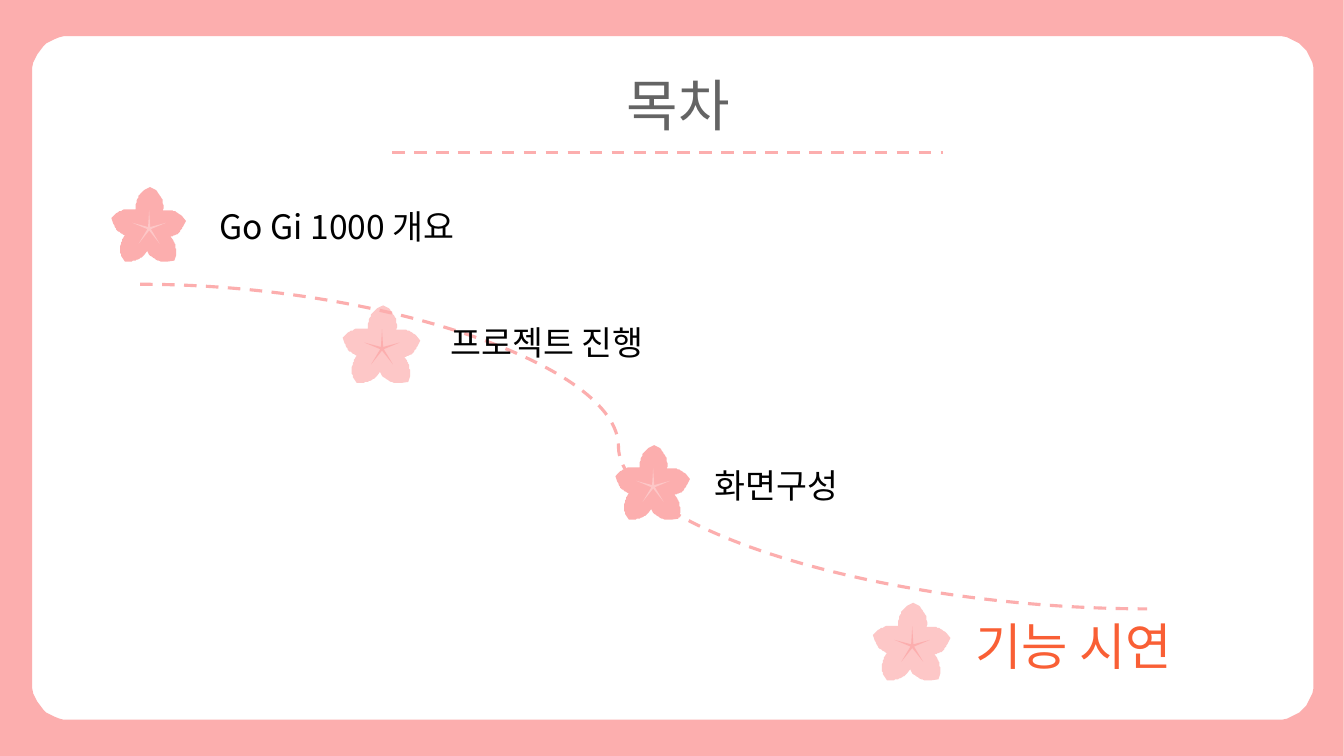
from lxml import etree
from pptx import Presentation
from pptx.dml.color import RGBColor
from pptx.enum.dml import MSO_LINE_DASH_STYLE as Dash
from pptx.enum.shapes import MSO_CONNECTOR as Connector, MSO_SHAPE as Shape
from pptx.enum.text import MSO_ANCHOR as Anchor, MSO_AUTO_SIZE as AutoSize
from pptx.oxml.ns import qn
from pptx.util import Inches, Pt

COLORS = {"pink": "FCAEAE", "pale": "FDC7C7", "grey": "646464",
          "black": "000000", "orange": "F95F35"}
FONT = "Noto Sans CJK KR"

# Outlines in hundredths of an inch: 2 numbers end a line, 6 describe a curve
BLOSSOM = [
    (1, -41), (7, -38), (12, -33, 15, -26, 15, -19), (14, -17),
    (15, -17), (22, -18, 29, -16, 34, -11), (38, -6),
    (35, 0), (33, 5, 29, 8, 24, 10), (22, 10),
    (25, 14), (27, 18, 28, 23, 28, 29), (26, 35),
    (19, 36), (12, 37, 5, 34, 0, 29), (-2, 25),
    (-5, 29), (-9, 33, -14, 35, -19, 36), (-25, 36),
    (-29, 30), (-31, 23, -30, 16, -26, 10), (-25, 9),
    (-27, 8), (-31, 6, -35, 2, -37, -3), (-39, -9),
    (-34, -14), (-28, -18, -21, -19, -14, -18), (-14, -17),
    (-14, -20), (-14, -27, -10, -34, -5, -38),
]
PAGE_EDGE = [(0, 0), (1333.3, 0), (1333.3, 750), (0, 750)]
PANEL_EDGE = [
    (68, 36), (49, 36, 32, 52, 32, 72),
    (32, 678), (32, 698, 49, 714, 68, 714),
    (1267, 714), (1287, 714, 1303, 698, 1303, 678),
    (1303, 72), (1303, 52, 1287, 36, 1267, 36),
]


def flatten(outline, steps=12):
    """Turn an outline with curves into a list of points."""
    points = []
    for part in outline:
        if len(part) == 2:
            points.append(part)
            continue
        start, first, second, end = points[-1], part[:2], part[2:4], part[4:]
        for step in range(1, steps + 1):
            t = step / steps
            u = 1 - t
            points.append(tuple(
                u**3 * a + 3 * u * u * t * b + 3 * u * t * t * c + t**3 * d
                for a, b, c, d in zip(start, first, second, end)))
    return points


class ContentsSlide:
    def __init__(self, slide):
        self.shapes = slide.shapes
        self.dashed = {"width": Pt(2.25), "dash_style": Dash.DASH}
        self.frame_format = {"word_wrap": True, "vertical_anchor": Anchor.MIDDLE,
                             "auto_size": AutoSize.SHAPE_TO_FIT_TEXT}

    def apply(self, target, values):
        for key, value in values.items():
            setattr(target, key, value)

    def paint(self, shape, color):
        shape.shadow.inherit = False
        shape.fill.solid()
        shape.fill.fore_color.rgb = RGBColor.from_string(COLORS[color])
        shape.line.fill.background()

    def outline(self, contours, color, x=0, y=0, scale=1):
        first, *others = [flatten(contour) for contour in contours]
        builder = self.shapes.build_freeform(*first[0], scale=Inches(0.01) * scale)
        builder.add_line_segments(first[1:], close=True)
        for points in others:
            builder.move_to(*points[0])
            builder.add_line_segments(points[1:], close=True)
        self.paint(builder.convert_to_shape(Inches(x), Inches(y)), color)

    def flower(self, x, y, scale, petals, stamen):
        self.outline([BLOSSOM], petals, x, y, scale)
        size = 0.35 * scale
        star = self.shapes.add_shape(Shape.STAR_5_POINT, Inches(x - size / 2),
                                     Inches(y - size / 2), Inches(size), Inches(size))
        star.adjustments[0] = 0.051
        self.paint(star, stamen)

    def dashes(self, kind, x1, y1, x2, y2, bend=None):
        path_line = self.shapes.add_connector(
            kind, Inches(x1), Inches(y1), Inches(x2), Inches(y2))
        path_line.line.color.rgb = RGBColor.from_string(COLORS["pink"])
        self.apply(path_line.line, self.dashed)
        properties = path_line._element.spPr
        etree.SubElement(properties, qn("a:effectLst"))
        if bend is not None:
            guides = properties.find(qn("a:prstGeom")).find(qn("a:avLst"))
            etree.SubElement(guides, qn("a:gd"), name="adj1",
                             fmla=f"val {round(bend * 100000)}")

    def text(self, words, x, y, width, height, size=24, color="black"):
        box = self.shapes.add_textbox(Inches(x), Inches(y), Inches(width), Inches(height))
        self.apply(box.text_frame, self.frame_format)
        run = box.text_frame.paragraphs[0].add_run()
        run.text = words
        self.apply(run.font, {"name": FONT, "size": Pt(size)})
        run.font.color.rgb = RGBColor.from_string(COLORS[color])
        etree.SubElement(run.font._element, qn("a:ea"), typeface=FONT)


def main():
    deck = Presentation()
    deck.slide_width, deck.slide_height = Inches(13.333), Inches(7.5)
    contents = ContentsSlide(deck.slides.add_slide(deck.slide_layouts[6]))

    # Frame and heading
    contents.outline([PANEL_EDGE, PAGE_EDGE], "pink")
    contents.text("목차", 6.12, 0.65, 1.38, 0.77, 40, "grey")
    contents.dashes(Connector.STRAIGHT, 3.89, 1.51, 9.36, 1.51)

    # Upper stops, winding path, lower stops
    dark, light = (0.96, "pink", "pale"), (1, "pale", "pink")
    contents.flower(1.48, 2.25, *dark)
    contents.flower(3.79, 3.44, *light)
    contents.dashes(Connector.CURVE, 1.39, 2.82, 11.38, 6.04, bend=0.475)
    contents.flower(6.48, 4.81, *dark)
    contents.flower(9.05, 6.39, *light)

    # Topics
    contents.text("Go Gi 1000 개요", 2.08, 1.99, 3.77, 0.5)
    contents.text("프로젝트 진행", 4.37, 3.14, 3.48, 0.5)
    contents.text("화면구성", 6.99, 4.56, 3.48, 0.5)
    contents.text("기능 시연", 9.58, 6.05, 3.48, 0.71, 36, "orange")

    deck.save("out.pptx")


if __name__ == "__main__":
    main()
